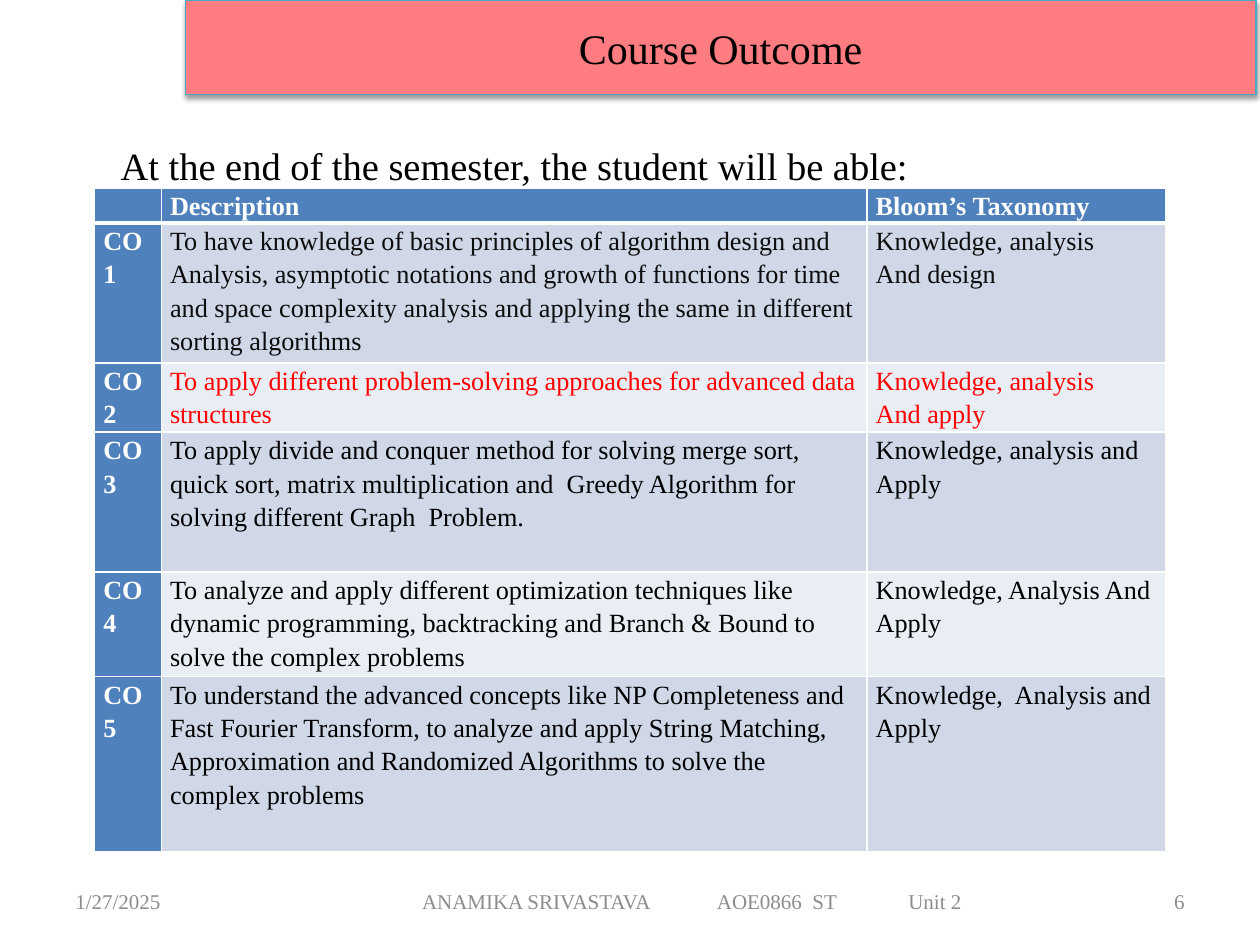
from pptx import Presentation
from pptx.dml.color import RGBColor
from pptx.enum.shapes import MSO_SHAPE
from pptx.enum.text import MSO_ANCHOR, PP_ALIGN
from pptx.oxml.xmlchemy import OxmlElement
from pptx.util import Inches, Pt

RECTANGLE = MSO_SHAPE.RECTANGLE
TOP, MIDDLE = MSO_ANCHOR.TOP, MSO_ANCHOR.MIDDLE
LEFT, CENTER, RIGHT = PP_ALIGN.LEFT, PP_ALIGN.CENTER, PP_ALIGN.RIGHT

COLORS = {
    "white": "FFFFFF", "black": "000000", "ink": "0D0D0D", "red": "FF0000",
    "grey": "8C8C8C", "coral": "FF7C80", "teal": "46AAC5", "blue": "4F81BD",
    "band_dark": "D0D8E8", "band_light": "E9EDF4",
}
COLUMN_WIDTHS = [0.53, 5.6, 2.37]
ROW_HEIGHTS = [0.28, 1.11, 0.55, 1.11, 0.83, 1.39]
HEADINGS = ["", "Description", "Bloom’s Taxonomy"]
OUTCOMES = [
    ("To have knowledge of basic principles of algorithm design and Analysis, "
     "asymptotic notations and growth of functions for time and space complexity "
     "analysis and applying the same in different sorting algorithms",
     "Knowledge, analysis\nAnd design", "ink"),
    ("To apply different problem-solving approaches for advanced data structures",
     "Knowledge, analysis\nAnd apply", "red"),
    ("To apply divide and conquer method for solving merge sort, quick sort, matrix "
     "multiplication and  Greedy Algorithm for solving different Graph  Problem.",
     "Knowledge, analysis and Apply", "black"),
    ("To analyze and apply different optimization techniques like dynamic programming, "
     "backtracking and Branch & Bound to solve the complex problems",
     "Knowledge, Analysis And Apply", "black"),
    ("To understand the advanced concepts like NP Completeness and Fast Fourier "
     "Transform, to analyze and apply String Matching, Approximation and Randomized "
     "Algorithms to solve the complex problems",
     "Knowledge,  Analysis and Apply", "black"),
]


def color(name):
    return RGBColor.from_string(COLORS[name])


def add_element(parent, tag, **attributes):
    element = OxmlElement(tag)
    for name, value in attributes.items():
        element.set(name, str(value))
    parent.append(element)
    return element


def write_text(frame, text, size=12, font="Times New Roman", ink="black", bold=False,
               align=LEFT, line_spacing=None, space_after=None, tabs=()):
    """Fill a text frame, making one paragraph of each line of text."""
    frame.word_wrap = True
    for index, line in enumerate(text.split("\n")):
        para = frame.add_paragraph() if index else frame.paragraphs[0]
        para.alignment = align
        if line_spacing:
            para.line_spacing = line_spacing
        if space_after:
            para.space_after = Pt(space_after)
        if tabs:
            stops = add_element(para._p.get_or_add_pPr(), "a:tabLst")
            for position in tabs:
                add_element(stops, "a:tab", pos=Inches(position), algn="l")
        if not line:
            add_element(para._p, "a:endParaRPr", sz=size * 100)
            continue
        span = para.add_run()
        span.text = line
        span.font.name = font
        span.font.size = Pt(size)
        span.font.bold = bold
        span.font.color.rgb = color(ink)


class SlideBuilder:
    def __init__(self, page):
        self.page = page

    def text(self, left, top, width, height, text, anchor=TOP, inset=0.1, **style):
        box = self.page.shapes.add_textbox(*map(Inches, (left, top, width, height)))
        box.text_frame.vertical_anchor = anchor
        box.text_frame.margin_left = Inches(inset)
        write_text(box.text_frame, text, **style)

    def banner(self, left, top, width, height, text):
        shape = self.page.shapes.add_shape(
            RECTANGLE, *map(Inches, (left, top, width, height)))
        shape.fill.solid()
        shape.fill.fore_color.rgb = color("coral")
        shape.line.color.rgb = color("teal")
        shape.line.width = Pt(0.75)
        shape.shadow.inherit = False
        effects = shape._element.spPr.find(
            "{http://schemas.openxmlformats.org/drawingml/2006/main}effectLst")
        shadow = add_element(effects, "a:outerShdw", blurRad=Pt(3.1), dist=Pt(1.6),
                             dir=90 * 60000, rotWithShape=0)
        tint = add_element(shadow, "a:srgbClr", val=COLORS["black"])
        add_element(tint, "a:alpha", val=38000)
        shape.text_frame.vertical_anchor = MIDDLE
        write_text(shape.text_frame, text, size=24, align=CENTER)

    def cell(self, cell, text, fill, top_line=1, bottom_line=1, **style):
        cell.margin_left = cell.margin_right = Inches(0.07)
        cell.margin_top = cell.margin_bottom = 0
        write_text(cell.text_frame, text, size=15, line_spacing=1.15, **style)
        properties = cell._tc.get_or_add_tcPr()
        for side, width in zip("LRTB", (1, 1, top_line, bottom_line)):
            line = add_element(properties, f"a:ln{side}", w=Pt(width))
            add_element(add_element(line, "a:solidFill"), "a:srgbClr",
                        val=COLORS["white"])
        cell.fill.solid()
        cell.fill.fore_color.rgb = color(fill)

    def outcome_table(self, left, top):
        table = self.page.shapes.add_table(
            len(ROW_HEIGHTS), len(COLUMN_WIDTHS), Inches(left), Inches(top),
            Inches(sum(COLUMN_WIDTHS)), Inches(sum(ROW_HEIGHTS))).table
        for column, width in zip(table.columns, COLUMN_WIDTHS):
            column.width = Inches(width)
        for row, height in zip(table.rows, ROW_HEIGHTS):
            row.height = Inches(height)
        for index, heading in enumerate(HEADINGS):
            self.cell(table.cell(0, index), heading, "blue", bottom_line=3,
                      ink="white", bold=True)
        for number, (description, taxonomy, ink) in enumerate(OUTCOMES, 1):
            top_line = 3 if number == 1 else 1
            band = "band_dark" if number % 2 else "band_light"
            self.cell(table.cell(number, 0), f"CO{number}", "blue", top_line,
                      ink="white", bold=True)
            for index, text in enumerate((description, taxonomy), 1):
                self.cell(table.cell(number, index), text, band, top_line, ink=ink)

    def footer(self, left, width, text, **style):
        self.text(left, 6.95, width, 0.4, text, anchor=MIDDLE, ink="grey", **style)


def main():
    deck = Presentation()
    deck.slide_width, deck.slide_height = Inches(10), Inches(7.5)
    builder = SlideBuilder(deck.slides.add_slide(deck.slide_layouts[6]))
    builder.outcome_table(0.75, 1.49)
    builder.footer(0.5, 2.33, "1/27/2025")
    builder.footer(2.75, 5.5, "ANAMIKA SRIVASTAVA\tAOE0866  ST\tUnit 2",
                   inset=0.6, tabs=(2.34, 3.86))
    builder.footer(7.17, 2.33, "6", align=RIGHT)
    builder.banner(1.47, 0, 8.5, 0.75, "Course Outcome")
    builder.text(0.86, 1.02, 8.5, 0.5,
                 "At the end of the semester, the student will be able:",
                 size=22, line_spacing=1.15, space_after=10)
    deck.save("out.pptx")


if __name__ == "__main__":
    main()
